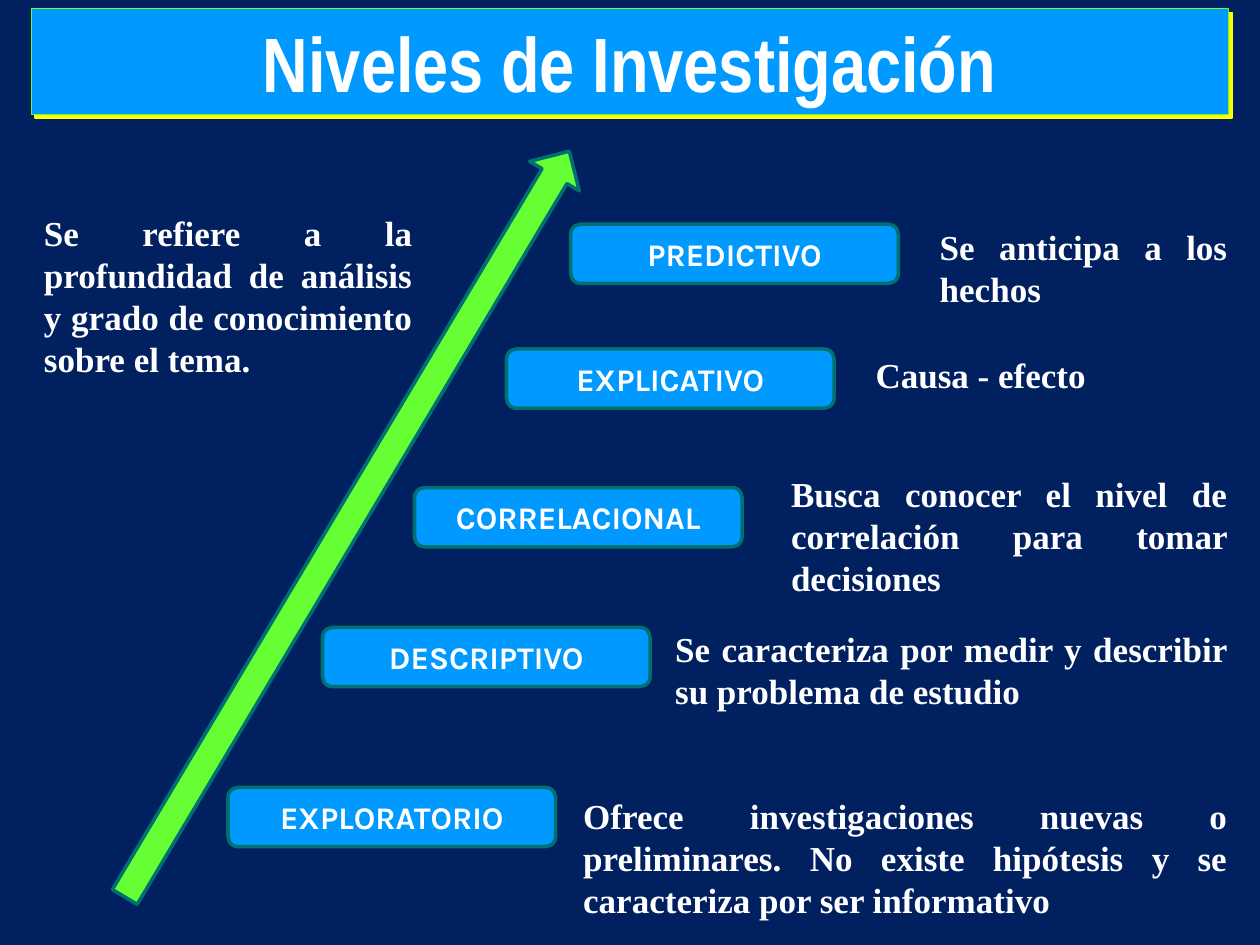
"""Build the slide on the levels of research."""
import pptx
import pptx.dml.color
import pptx.enum.shapes
import pptx.enum.text
import pptx.oxml
import pptx.oxml.ns
import pptx.util

Inches = pptx.util.Inches
Pt = pptx.util.Pt
ALIGN = pptx.enum.text.PP_ALIGN
ANCHOR = pptx.enum.text.MSO_ANCHOR
AUTO_SIZE = pptx.enum.text.MSO_AUTO_SIZE
SHAPE = pptx.enum.shapes.MSO_SHAPE

COLOURS = {
    "background": "002060",
    "box": "0099FF",
    "outline": "007171",
    "arrow": "66FF33",
    "title_line": "66FF33",
    "title_shadow": "FFFF00",
    "text": "FFFFFF",
}

FORMATS = {
    "title": {"name": "Arial Narrow", "size": Pt(44), "bold": True},
    "level": {"name": "Karla", "size": Pt(18), "bold": True},
    "note": {"name": "Times New Roman", "size": Pt(20), "bold": True},
}

LEVEL_SIZE = (2.6, 0.47)
LEVELS = [
    ("PREDICTIVO", 4.53, 1.78),
    ("EXPLICATIVO", 4.02, 2.77),
    ("CORRELACIONAL", 3.29, 3.87),
    ("DESCRIPTIVO", 2.56, 4.98),
    ("EXPLORATORIO", 1.81, 6.25),
]

NOTES = [
    ("Se refiere a la profundidad de análisis y grado de conocimiento sobre el tema.",
     (0.25, 1.63, 3.12, 1.45)),
    ("Se anticipa a los hechos", (7.36, 1.74, 2.48, 0.77)),
    ("Causa - efecto", (6.85, 2.76, 2.48, 0.44)),
    ("Busca conocer el nivel de correlación para tomar decisiones",
     (6.18, 3.7, 3.66, 1.11)),
    ("Se caracteriza por medir y describir su problema de estudio",
     (5.26, 4.93, 4.58, 0.77)),
    ("Ofrece investigaciones nuevas o preliminares. No existe hipótesis y se "
     "caracteriza por ser informativo", (4.53, 6.26, 5.31, 1.11)),
]


def colour(name):
    """Return the named colour as an RGBColor."""
    return pptx.dml.color.RGBColor.from_string(COLOURS[name])


def set_attributes(target, values):
    """Set each attribute in the dict on the target."""
    for name, value in values.items():
        setattr(target, name, value)


def paint(shape, fill, line, width):
    """Give the shape a solid fill and outline without the theme shadow."""
    shape.shadow.inherit = False
    shape.fill.solid()
    shape.fill.fore_color.rgb = colour(fill)
    shape.line.color.rgb = colour(line)
    shape.line.width = Pt(width)


def write_text(shape, text, style, alignment, **frame_values):
    """Write one formatted paragraph into the shape."""
    frame = shape.text_frame
    set_attributes(frame, {"word_wrap": True, **frame_values})
    paragraph = frame.paragraphs[0]
    paragraph.alignment = alignment
    run = paragraph.add_run()
    run.text = text
    set_attributes(run.font, FORMATS[style])
    run.font.color.rgb = colour("text")


def add_offset_shadow(shape):
    """Add a hard shadow to the lower right of the shape."""
    effects = shape._element.spPr.find(pptx.oxml.ns.qn("a:effectLst"))
    effects.append(pptx.oxml.parse_xml(
        f'<a:outerShdw {pptx.oxml.ns.nsdecls("a")} dist="35560" dir="2700000" '
        f'algn="ctr" rotWithShape="0"><a:srgbClr val="{COLOURS["title_shadow"]}"/>'
        '</a:outerShdw>'))


def format_title(slide, text):
    """Turn the title placeholder into the banner at the top."""
    title = slide.shapes.title
    set_attributes(title, {"left": Inches(0.25), "top": Inches(0.07),
                           "width": Inches(9.5), "height": Inches(0.84)})
    paint(title, "box", "title_line", 0.75)
    add_offset_shadow(title)
    write_text(title, text, "title", ALIGN.CENTER,
               auto_size=AUTO_SIZE.NONE, vertical_anchor=ANCHOR.MIDDLE)


def add_shape(slide, kind, position, fill):
    """Add an outlined preset shape."""
    shape = slide.shapes.add_shape(kind, *map(Inches, position))
    paint(shape, fill, "outline", 2)
    return shape


def add_level(slide, text, left, top):
    """Add the rounded box of one research level."""
    box = add_shape(slide, SHAPE.ROUNDED_RECTANGLE, (left, top, *LEVEL_SIZE), "box")
    write_text(box, text, "level", ALIGN.CENTER, vertical_anchor=ANCHOR.MIDDLE)


def add_note(slide, text, position):
    """Add a justified explanatory text box."""
    note = slide.shapes.add_textbox(*map(Inches, position))
    write_text(note, text, "note", ALIGN.JUSTIFY,
               auto_size=AUTO_SIZE.SHAPE_TO_FIT_TEXT)


def main():
    """Create and save the presentation."""
    presentation = pptx.Presentation()
    presentation.slide_width = Inches(10)
    presentation.slide_height = Inches(7.5)
    slide = presentation.slides.add_slide(presentation.slide_layouts[5])
    slide.background.fill.solid()
    slide.background.fill.fore_color.rgb = colour("background")

    for level in LEVELS:
        add_level(slide, *level)
    arrow = add_shape(slide, SHAPE.RIGHT_ARROW, (-0.69, 3.93, 6.89, 0.46), "arrow")
    arrow.rotation = 300.8
    format_title(slide, "Niveles de Investigación")
    for note in NOTES:
        add_note(slide, *note)

    presentation.save("out.pptx")


if __name__ == "__main__":
    main()
